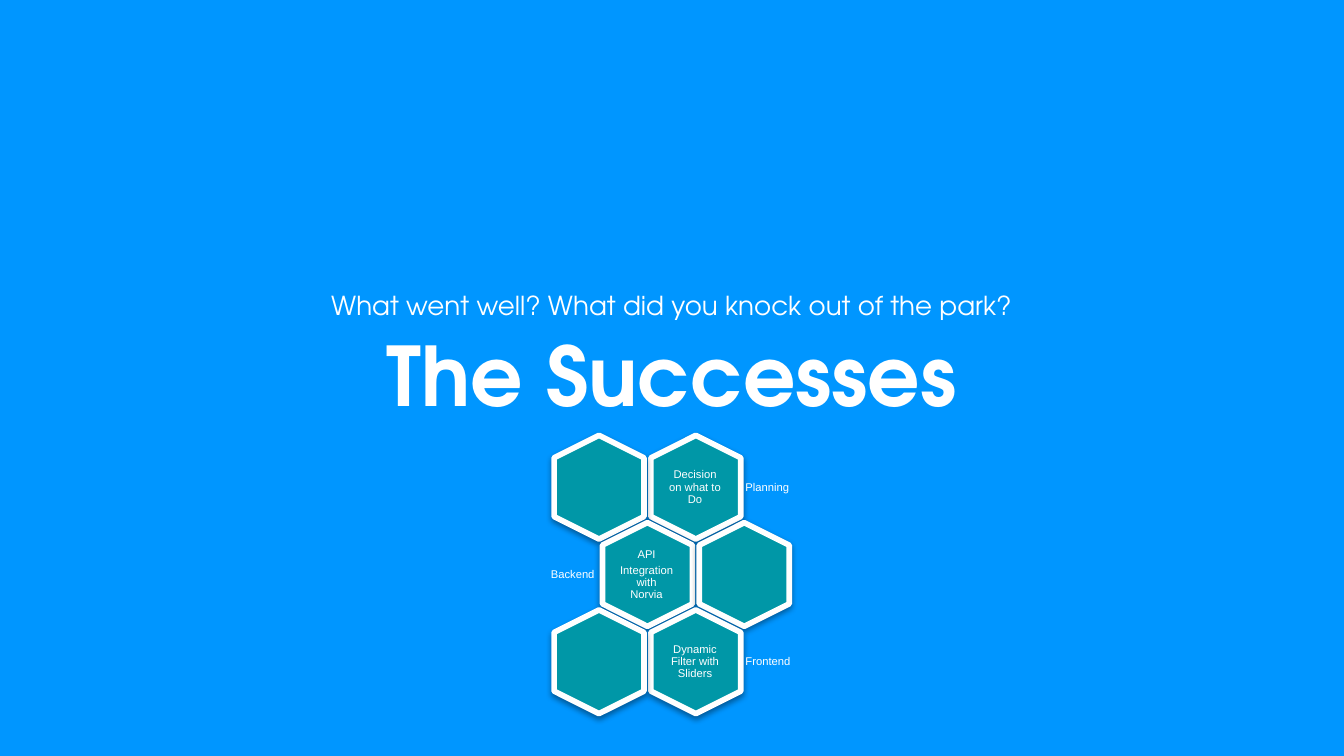
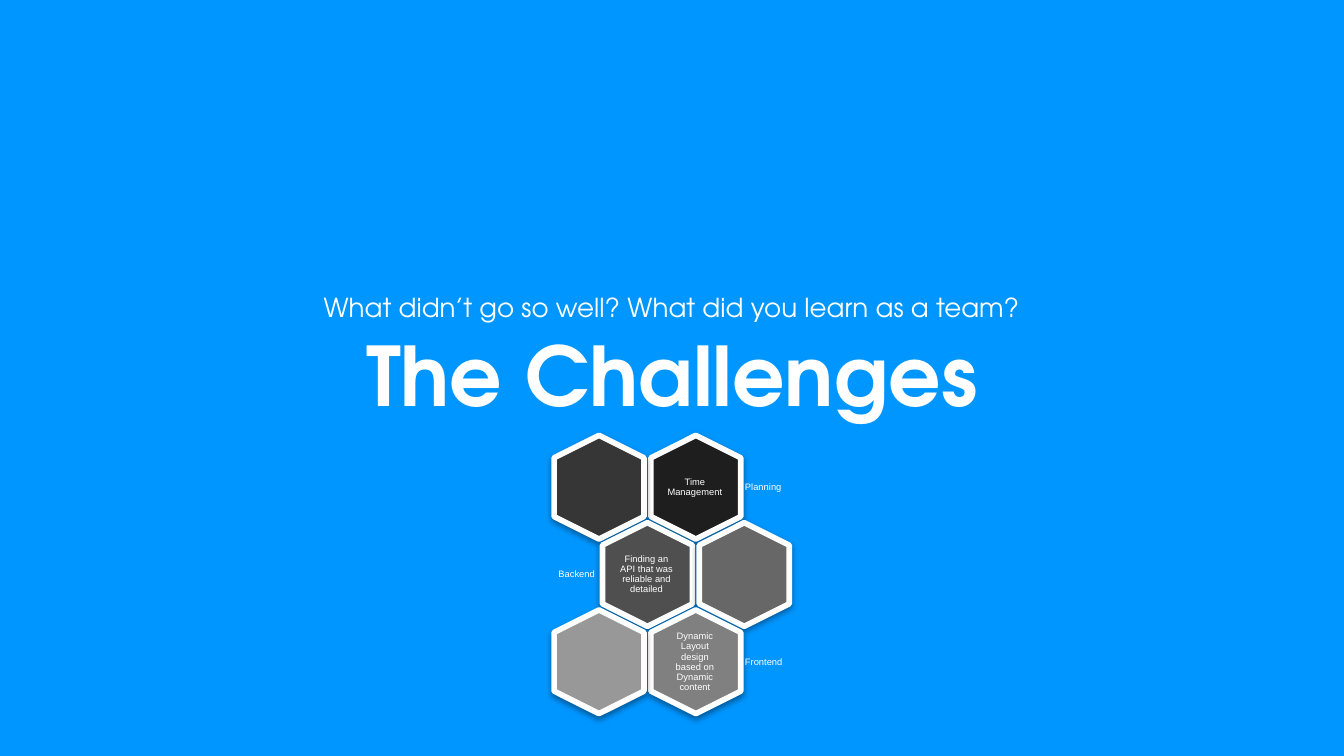
import dataclasses

import lxml.etree
import pptx
import pptx.dml.color
import pptx.enum.shapes
import pptx.enum.text
import pptx.oxml.ns
import pptx.util

Cm = pptx.util.Cm
Pt = pptx.util.Pt
Align = pptx.enum.text.PP_ALIGN
Anchor = pptx.enum.text.MSO_ANCHOR


@dataclasses.dataclass(frozen=True)
class Theme:
    background: str = "0096FF"
    light: str = "FFFFFF"
    shadow: str = "000000"
    heading_font: str = "TeX Gyre Adventor"
    body_font: str = "Arial"
    title_size: int = 44
    question_size: int = 14
    border: int = 3


def rgb(value):
    return pptx.dml.color.RGBColor.from_string(value)


def apply(target, formats):
    for name, value in formats.items():
        setattr(target, name, value)


class Deck:
    def __init__(self, theme):
        self.theme = theme
        self.presentation = pptx.Presentation()
        apply(self.presentation, {"slide_width": Cm(25.4), "slide_height": Cm(14.29)})

    def new_slide(self):
        self.slide = self.presentation.slides.add_slide(self.presentation.slide_layouts[6])
        background = self.slide.background.fill
        background.solid()
        background.fore_color.rgb = rgb(self.theme.background)

    def text(self, shapes, box, lines, font, paragraph, anchor, inset):
        frame = shapes.add_textbox(*map(Cm, box)).text_frame
        apply(frame, {"word_wrap": True, "vertical_anchor": anchor})
        apply(frame, {f"margin_{side}": Cm(inset) for side in ("left", "top", "right", "bottom")})
        frame.text = "\n".join(lines)
        for entry in frame.paragraphs:
            apply(entry, paragraph)
            for run in entry.runs:
                apply(run.font, font)
                run.font.color.rgb = rgb(self.theme.light)

    def heading(self, box, wording, size, bold, spacing, anchor):
        font = {"name": self.theme.heading_font, "size": Pt(size), "bold": bold}
        paragraph = {"alignment": Align.CENTER, "line_spacing": spacing}
        self.text(self.slide.shapes, box, [wording], font, paragraph, anchor, 0.25)

    def caption(self, shapes, box, lines, size, alignment):
        font = {"name": self.theme.body_font, "size": Pt(size)}
        paragraph = {"alignment": alignment, "line_spacing": 0.9, "space_after": Pt(0.35 * size)}
        self.text(shapes, box, lines, font, paragraph, Anchor.MIDDLE, 0.01 * size + 0.01)

    def hexagon(self, shapes, left, top, color):
        cell = shapes.add_shape(
            pptx.enum.shapes.MSO_SHAPE.HEXAGON, Cm(left), Cm(top), Cm(1.96), Cm(1.7)
        )
        cell.rotation = 90
        cell.adjustments[0] = 0.25
        cell.fill.solid()
        cell.fill.fore_color.rgb = rgb(color)
        cell.line.color.rgb = rgb(self.theme.light)
        cell.line.width = Pt(self.theme.border)
        cell.shadow.inherit = False
        qn = pptx.oxml.ns.qn
        effects = cell.element.spPr.find(qn("a:effectLst"))
        shadow = lxml.etree.SubElement(
            effects, qn("a:outerShdw"),
            blurRad="40000", dist="20000", dir="5400000", rotWithShape="0",
        )
        shade = lxml.etree.SubElement(shadow, qn("a:srgbClr"), val=self.theme.shadow)
        lxml.etree.SubElement(shade, qn("a:alpha"), val="38000")

    def honeycomb(self, rows, size):
        shapes = self.slide.shapes.add_group_shape().shapes
        for index, (area, lines, color, blank_color) in enumerate(rows):
            shifted = index % 2
            top = 8.36 + 1.65 * index
            columns = [10.34 + 0.915 * shifted + 1.83 * column for column in range(2)]
            blank, left = columns[::-1] if shifted else columns
            self.hexagon(shapes, left, top, color)
            self.caption(shapes, (left + 0.38, top + 0.18, 1.17, 1.35), lines, size, Align.CENTER)
            offset, width, alignment = (
                (-2.06, 2.11, Align.RIGHT) if shifted else (1.85, 2.18, Align.LEFT)
            )
            self.caption(shapes, (left + offset, top + 0.27, width, 1.17), [area], size, alignment)
            self.hexagon(shapes, blank, top, blank_color)

    def review(self, title, question, question_box, rows, size):
        self.new_slide()
        self.heading(question_box, question, self.theme.question_size, False, 1.3, Anchor.MIDDLE)
        self.heading((1.35, 5.89, 22.7, 4.17), title, self.theme.title_size, True, 1.0, Anchor.TOP)
        self.honeycomb(rows, size)


def main():
    deck = Deck(Theme())
    teal = "0097A7"
    deck.review(
        "The Successes",
        "What went well? What did you knock out of the park?",
        (4.8, 4.78, 15.8, 1.78),
        [
            ("Planning", ["Decision on what to Do"], teal, teal),
            ("Backend", ["API", "Integration with Norvia"], teal, teal),
            ("Frontend", ["Dynamic Filter with Sliders"], teal, teal),
        ],
        6,
    )
    deck.review(
        "The Challenges",
        "What didn’t go so well? What did you learn as a team?",
        (4.04, 5.27, 17.32, 0.89),
        [
            ("Planning", ["Time Management"], "1E1E1E", "363636"),
            ("Backend", ["Finding an API that was reliable and detailed"], "4F4F4F", "676767"),
            ("Frontend", ["Dynamic Layout design based on Dynamic content"], "808080", "989898"),
        ],
        5,
    )
    deck.presentation.save("out.pptx")


if __name__ == "__main__":
    main()
